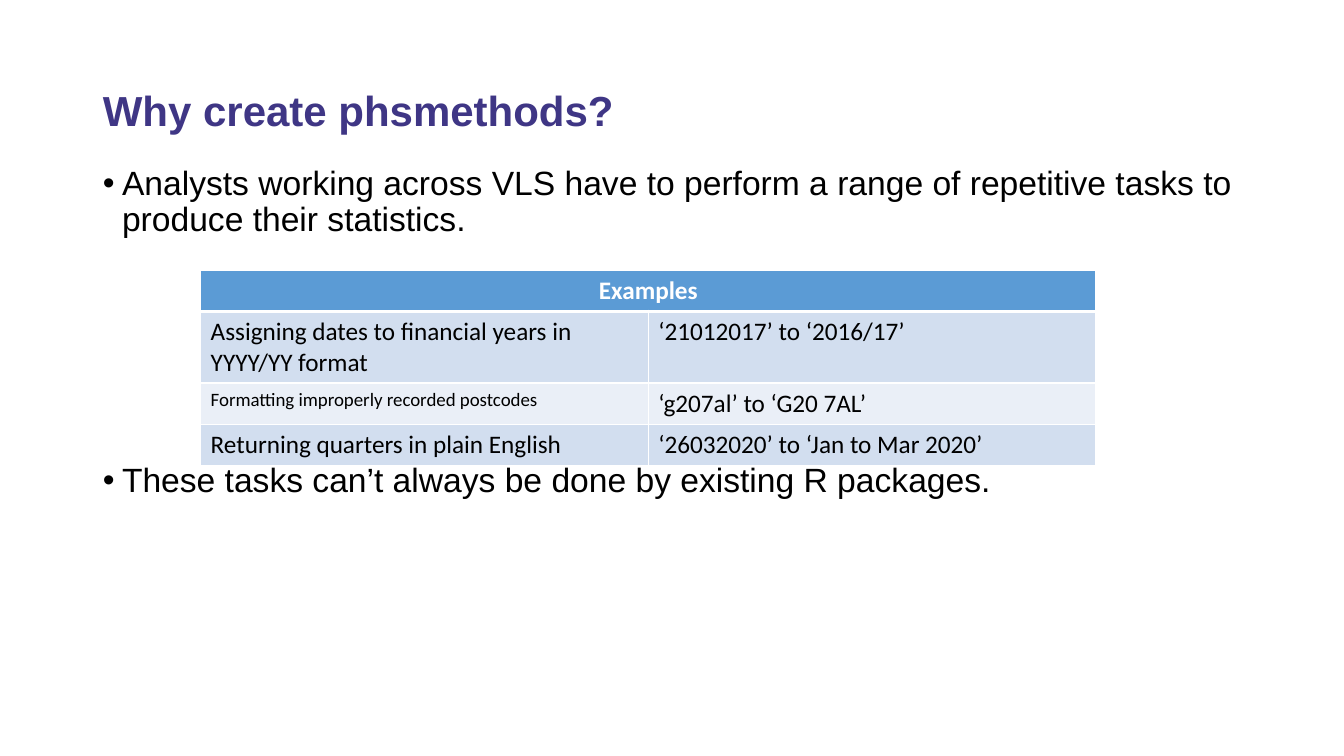
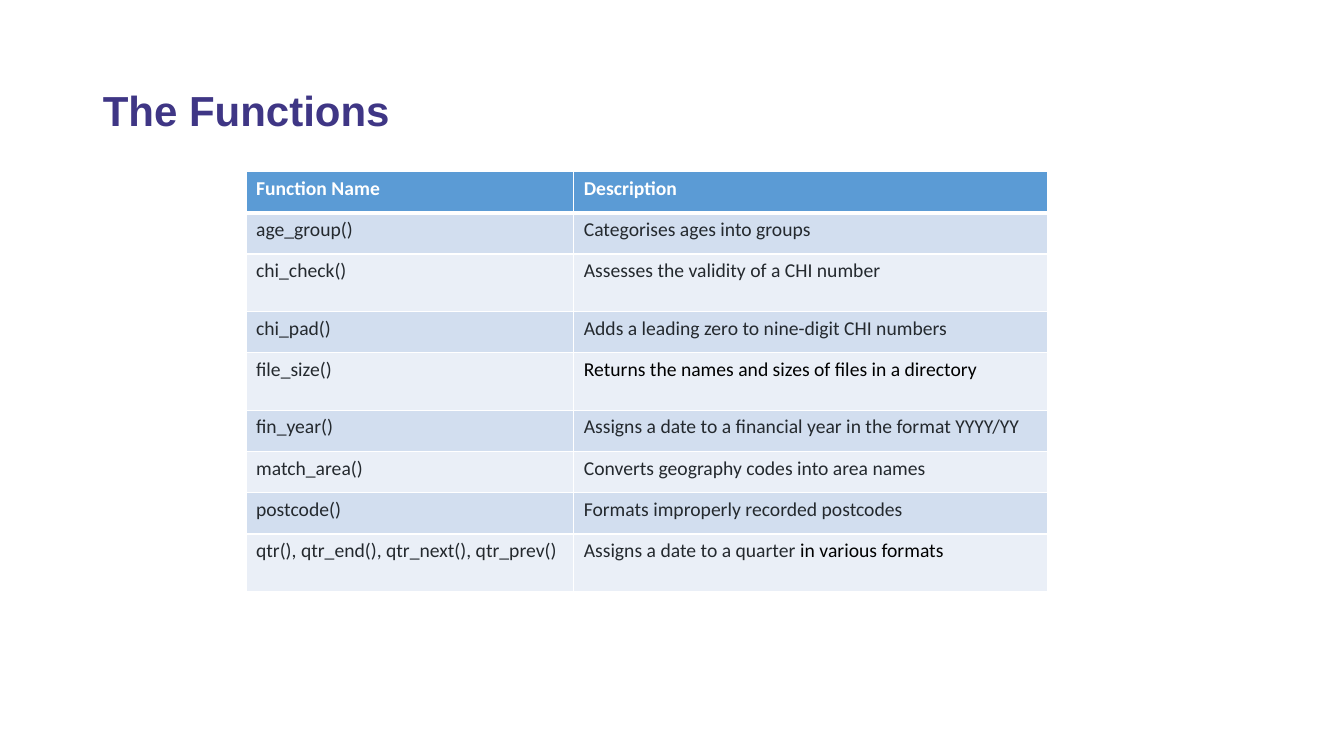
"""Build two slides on the phsmethods package: why it exists and what its functions do."""
import lxml.etree
import pptx
import pptx.dml.color
import pptx.enum.text
import pptx.oxml.ns
import pptx.util

Inches, Pt = pptx.util.Inches, pptx.util.Pt
PURPLE, BLUE, WHITE, BLACK, CHARCOAL = "3F3685", "5B9BD5", "FFFFFF", "000000", "24292E"
BANDS = ["D2DEEF", "EAEFF7"]


def add_run(p, text, font, size, colour, bold=False):
    """Add one formatted run to a paragraph."""
    r = p.add_run()
    r.text = text
    r.font.name, r.font.size, r.font.bold = font, Pt(size), bold
    r.font.color.rgb = pptx.dml.color.RGBColor.from_string(colour)
    return r


def add_grid(s, left, top, widths, heights, rows, size, colour):
    """Add a table with a blue header, banded rows and white borders."""
    frame = s.shapes.add_table(len(rows), len(widths), Inches(left), Inches(top),
                               Inches(sum(widths)), Inches(sum(heights)))
    table = frame.table
    for column, width in zip(table.columns, widths):
        column.width = Inches(width)
    for i, (row, height) in enumerate(zip(rows, heights)):
        table.rows[i].height = Inches(height)
        header = i == 0
        for j, text in enumerate(row):
            cell = table.cell(i, j)
            tcPr = cell._tc.get_or_add_tcPr()
            for side in "LRTB":
                thick = (header and side == "B") or (i == 1 and side == "T")
                ln = lxml.etree.SubElement(tcPr, pptx.oxml.ns.qn(f"a:ln{side}"), w=str(Pt(3 if thick else 1)))
                fill = lxml.etree.SubElement(ln, pptx.oxml.ns.qn("a:solidFill"))
                lxml.etree.SubElement(fill, pptx.oxml.ns.qn("a:srgbClr"), val=WHITE)
            cell.fill.solid()
            cell.fill.fore_color.rgb = pptx.dml.color.RGBColor.from_string(BLUE if header else BANDS[(i - 1) % 2])
            if text:
                add_run(cell.text_frame.paragraphs[0], text, "Calibri", size, WHITE if header else colour, header)
    return table


prs = pptx.Presentation()
prs.slide_width, prs.slide_height = Inches(13.33), Inches(7.5)

for layout, title in [(1, "Why create phsmethods?"), (5, "The Functions")]:
    s = prs.slides.add_slide(prs.slide_layouts[layout])
    sp = s.shapes.title
    sp.left, sp.top, sp.width, sp.height = Inches(0.92), Inches(0.4), Inches(11.5), Inches(1.45)
    tf = sp.text_frame
    tf.auto_size = pptx.enum.text.MSO_AUTO_SIZE.NONE
    tf.vertical_anchor = pptx.enum.text.MSO_ANCHOR.MIDDLE
    p = tf.paragraphs[0]
    p.alignment = pptx.enum.text.PP_ALIGN.LEFT
    p.line_spacing = 0.9
    add_run(p, title, "Arial", 30, PURPLE, True)

why, functions = prs.slides

sp = why.placeholders[1]
sp.left, sp.top, sp.width, sp.height = Inches(0.92), Inches(1.6), Inches(11.5), Inches(4.76)
tf = sp.text_frame
tf.auto_size = pptx.enum.text.MSO_AUTO_SIZE.NONE
bullets = [
    ("Analysts working across VLS have to perform a range of repetitive tasks to produce their statistics.", 7.5),
    ("These tasks can’t always be done by existing R packages.", 160.5),
]
for i, (text, gap) in enumerate(bullets):
    p = tf.add_paragraph() if i else tf.paragraphs[0]
    p.line_spacing, p.space_before = 0.9, Pt(gap)
    pPr = p._p.get_or_add_pPr()
    pPr.set("marL", str(Inches(0.19)))
    pPr.set("indent", str(-Inches(0.19)))
    add_run(p, text, "Arial", 24, BLACK)

examples = [
    ("Examples", ""),
    ("Assigning dates to financial years in YYYY/YY format", "‘21012017’ to ‘2016/17’"),
    ("Formatting improperly recorded postcodes", "‘g207al’ to ‘G20 7AL’"),
    ("Returning quarters in plain English", "‘26032020’ to ‘Jan to Mar 2020’"),
]
table = add_grid(why, 1.99, 2.68, [4.44, 4.44], [0.41, 0.69, 0.41, 0.41], examples, 18, BLACK)
table.cell(0, 0).merge(table.cell(0, 1))
table.cell(0, 0).text_frame.paragraphs[0].alignment = pptx.enum.text.PP_ALIGN.CENTER
table.cell(2, 0).text_frame.paragraphs[0].runs[0].font.size = Pt(13.5)

descriptions = [
    ("Function Name", "Description"),
    ("age_group()", "Categorises ages into groups"),
    ("chi_check()", "Assesses the validity of a CHI number"),
    ("chi_pad()", "Adds a leading zero to nine-digit CHI numbers"),
    ("file_size()", "Returns the names and sizes of files in a directory"),
    ("fin_year()", "Assigns a date to a financial year in the format YYYY/YY"),
    ("match_area()", "Converts geography codes into area names"),
    ("postcode()", "Formats improperly recorded postcodes"),
    ("qtr(), qtr_end(), qtr_next(), qtr_prev()", "Assigns a date to a quarter"),
]
heights = [0.57 if i in (2, 4, 8) else 0.41 for i in range(len(descriptions))]
table = add_grid(functions, 2.44, 1.7, [3.25, 4.7], heights, descriptions, 14, CHARCOAL)
r = table.cell(4, 1).text_frame.paragraphs[0].runs[0]
r.font.color.rgb = pptx.dml.color.RGBColor.from_string(BLACK)
add_run(table.cell(8, 1).text_frame.paragraphs[0], " in various formats", "Calibri", 14, BLACK)

prs.save("out.pptx")
